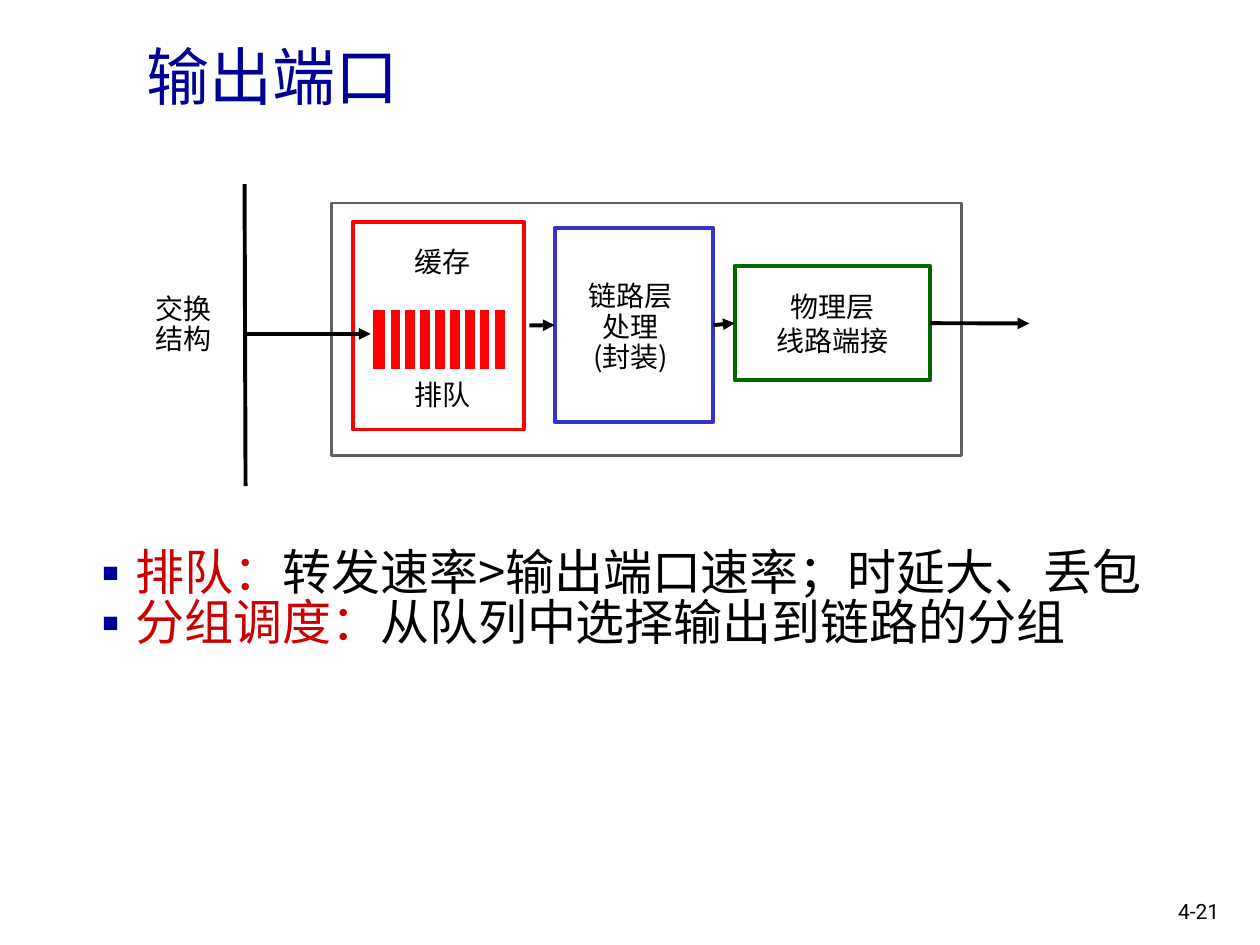
from lxml import etree
from pptx import Presentation
from pptx.dml.color import RGBColor
from pptx.enum.shapes import MSO_CONNECTOR, MSO_SHAPE
from pptx.enum.text import MSO_ANCHOR, MSO_AUTO_SIZE, PP_ALIGN
from pptx.oxml.ns import qn
from pptx.util import Cm, Pt

RECTANGLE = MSO_SHAPE.RECTANGLE
STRAIGHT = MSO_CONNECTOR.STRAIGHT
MIDDLE, TOP = MSO_ANCHOR.MIDDLE, MSO_ANCHOR.TOP
CENTER, LEFT = PP_ALIGN.CENTER, PP_ALIGN.LEFT
NO_FIT = MSO_AUTO_SIZE.NONE
LEFT_SIDE, RIGHT_SIDE = 1, 3

COLORS = {
    "navy": "000099", "crimson": "CC0000", "black": "000000",
    "white": "FFFFFF", "gray": "5F5F5F", "green": "006600",
    "blue": "3333CC", "red": "FF0000",
}
CHINESE_FONT, NUMBER_FONT = "Noto Sans CJK SC", "Roboto"

TITLE = "输出端口"
BULLETS = [
    ("排队：", "转发速率>输出端口速率；时延大、丢包"),
    ("分组调度：", "从队列中选择输出到链路的分组"),
]
PAGE_NUMBER = "4-21"

FRAMES = {
    "port": ((6.68, 4.09, 12.7, 5.1), "white", "gray", 1.5),
    "physical": ((14.81, 5.36, 3.94, 2.31), "white", "green", 2.25),
    "link": ((11.18, 4.6, 3.2, 3.91), "white", "blue", 2.25),
    "buffer": ((7.11, 4.47, 3.45, 4.19), "white", "red", 2.25),
    "queue": ((7.47, 6.2, 2.77, 1.3), "red", "white", 3),
}
LABELS = [
    ((11.25, 5.46, 2.92, 2.31), "链路层\n处理\n(封装)", 0.9),
    ((2.24, 5.41, 2.92, 2.31), "交换\n结构", 0.9),
    ((8.1, 4.86, 1.65, 0.8), "缓存", 1),
    ((8.1, 7.55, 1.65, 0.8), "排队", 1),
]
PHYSICAL_TEXT = "物理层\n线路端接"
DIVIDER_COUNT, DIVIDER_START, DIVIDER_STEP = 8, 7.82, 0.3
DIVIDER_TOP, DIVIDER_BOTTOM = 6.22, 7.47


def color(name):
    return RGBColor.from_string(COLORS[name])


def style_span(span, size, color_name, font=CHINESE_FONT):
    span.font.size = Pt(size)
    span.font.name = font
    span.font.color.rgb = color(color_name)
    properties = span.font._element
    east_asian = etree.Element(qn("a:ea"), typeface=font)
    properties.find(qn("a:latin")).addnext(east_asian)


def write(box, text, size, color_name="black", align=CENTER, anchor=MIDDLE,
          wrap=False, spacing=None, font=CHINESE_FONT):
    frame = box.text_frame
    frame.text = text
    frame.word_wrap = wrap
    frame.auto_size = NO_FIT
    frame.vertical_anchor = anchor
    for para in frame.paragraphs:
        para.alignment = align
        para.line_spacing = spacing
        for span in para.runs:
            style_span(span, size, color_name, font)


def add_frame(page, place, fill, line, width):
    box = page.shapes.add_shape(RECTANGLE, *map(Cm, place))
    box.shadow.inherit = False
    box.fill.solid()
    box.fill.fore_color.rgb = color(fill)
    box.line.color.rgb = color(line)
    box.line.width = Pt(width)
    return box


def add_line(page, start, end, color_name="black", width=2.25, arrow=False):
    line = page.shapes.add_connector(STRAIGHT, *map(Cm, (*start, *end)))
    line.line.color.rgb = color(color_name)
    line.line.width = Pt(width)
    if arrow:
        etree.SubElement(line.line._get_or_add_ln(), qn("a:tailEnd"), type="triangle")
    etree.SubElement(line._element.spPr, qn("a:effectLst"))
    return line


def add_bullets(page):
    box = page.shapes.add_textbox(*map(Cm, (1.5, 10.97, 22.43, 2.54)))
    frame = box.text_frame
    frame.word_wrap = True
    for index, (term, explanation) in enumerate(BULLETS):
        para = frame.add_paragraph() if index else frame.paragraphs[0]
        para.line_spacing = 0.85
        for text, color_name in ((term, "crimson"), (explanation, "black")):
            span = para.add_run()
            span.text = text
            style_span(span, 28, color_name)
        properties = para._p.get_or_add_pPr()
        properties.set("marL", str(Cm(0.97)))
        properties.set("indent", str(Cm(-0.97)))
        bullet_color = etree.SubElement(properties, qn("a:buClr"))
        etree.SubElement(bullet_color, qn("a:srgbClr"), val=COLORS["navy"])
        etree.SubElement(properties, qn("a:buFont"), typeface=CHINESE_FONT)
        etree.SubElement(properties, qn("a:buChar"), char="▪")


def main():
    deck = Presentation()
    deck.slide_width, deck.slide_height = Cm(25.4), Cm(19.05)
    page = deck.slides.add_slide(deck.slide_layouts[5])

    title = page.shapes.title
    title.left, title.top, title.width, title.height = map(Cm, (2.69, 0.56, 21.59, 1.9))
    write(title, TITLE, 36, "navy", LEFT, wrap=True)
    add_bullets(page)

    frames = {name: add_frame(page, *look) for name, look in FRAMES.items()}
    write(frames["physical"], PHYSICAL_TEXT, 16)
    for place, text, spacing in LABELS:
        label = page.shapes.add_textbox(*map(Cm, place))
        write(label, text, 16, spacing=spacing)

    for index in range(DIVIDER_COUNT):
        x = DIVIDER_START + index * DIVIDER_STEP
        add_line(page, (x, DIVIDER_TOP), (x, DIVIDER_BOTTOM), "white", 3)

    add_line(page, (4.93, 3.71), (4.95, 9.8))
    add_line(page, (4.9, 6.73), (7.47, 6.73), arrow=True)
    to_link = add_line(page, (10.67, 6.56), (11.18, 6.56), arrow=True)
    to_link.end_connect(frames["link"], LEFT_SIDE)
    to_physical = add_line(page, (14.38, 6.56), (14.81, 6.52), arrow=True)
    to_physical.begin_connect(frames["link"], RIGHT_SIDE)
    to_physical.end_connect(frames["physical"], LEFT_SIDE)
    output = add_line(page, (18.75, 6.52), (20.75, 6.52), arrow=True)
    output.begin_connect(frames["physical"], RIGHT_SIDE)

    number = page.shapes.add_textbox(*map(Cm, (23.5, 17.98, 1.55, 0.76)))
    write(number, PAGE_NUMBER, 12, align=LEFT, anchor=TOP, font=NUMBER_FONT)
    deck.save("out.pptx")


if __name__ == "__main__":
    main()
